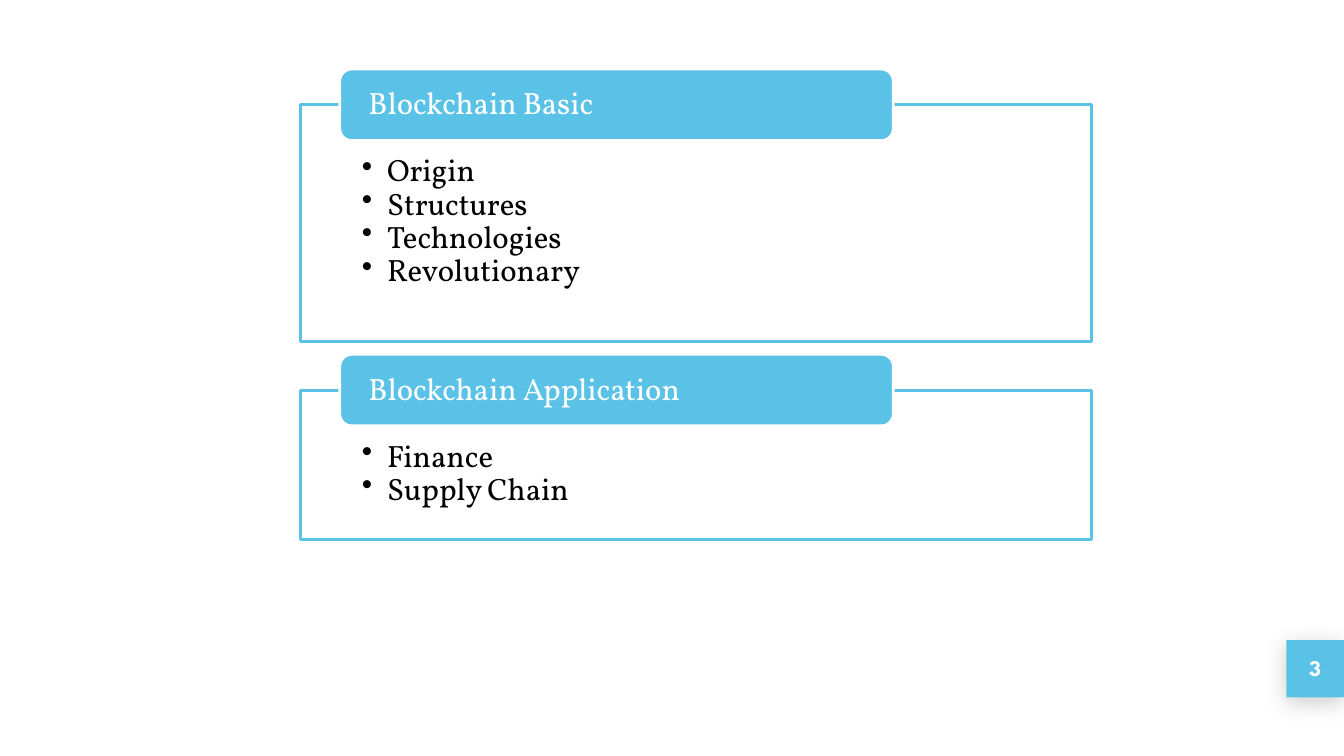
from dataclasses import dataclass

from lxml import etree
from pptx import Presentation
from pptx import util as u
from pptx.dml.color import RGBColor
from pptx.enum import shapes, text
from pptx.oxml.ns import qn


@dataclass(frozen=True)
class Theme:
    blue: str = "5BC2E7"
    white: str = "FFFFFF"
    black: str = "000000"
    body: str = "Vollkorn"
    digit: str = "League Spartan"
    size: int = 22
    small: int = 16
    line: int = 2


def add(parent, tag, **attrs):
    return etree.SubElement(parent, qn(tag), attrs)


class Deck:
    def __init__(self, theme):
        self.theme = theme
        self.prs = Presentation()
        self.prs.slide_width = u.Inches(13.33)
        self.prs.slide_height = u.Inches(7.5)
        self.slide = self.prs.slides.add_slide(self.prs.slide_layouts[6])

    def box(self, kind, at, fill, line=None):
        shape = self.slide.shapes.add_shape(kind, *map(u.Inches, at))
        shape.shadow.inherit = False
        shape.fill.solid()
        shape.fill.fore_color.rgb = RGBColor.from_string(fill)
        if line:
            shape.line.color.rgb = RGBColor.from_string(line)
            shape.line.width = u.Pt(self.theme.line)
        else:
            shape.line.fill.background()
        return shape

    def label(self, shape, lines, inset, anchor, color, bullet=False, **style):
        frame = shape.text_frame
        frame.word_wrap = True
        frame.vertical_anchor = anchor
        for side, gap in zip(("left", "top", "right", "bottom"), inset):
            setattr(frame, f"margin_{side}", u.Inches(gap))
        look = {"name": self.theme.body, "size": u.Pt(self.theme.size)} | style
        align = look.pop("align", text.PP_ALIGN.LEFT)
        for i, line in enumerate(lines):
            para = frame.add_paragraph() if i else frame.paragraphs[0]
            if bullet:
                self.dot(para, color)
            para.alignment = align
            para.line_spacing = 0.9
            run = para.add_run()
            run.text = line
            for key, value in look.items():
                setattr(run.font, key, value)
            run.font.color.rgb = RGBColor.from_string(color)

    def dot(self, para, color):
        props = para._p.get_or_add_pPr()
        props.set("marL", str(u.Inches(0.25)))
        props.set("indent", str(u.Inches(-0.25)))
        add(add(props, "a:buClr"), "a:srgbClr", val=color)
        add(props, "a:buChar", char="•")

    def panel(self, top, height, head, items):
        t, kind = self.theme, shapes.MSO_SHAPE
        # Outlined frame with its list
        frame = self.box(kind.RECTANGLE, (2.98, top, 7.85, height), t.white, t.blue)
        fill = frame._element.spPr.find(qn("a:solidFill"))
        add(fill[0], "a:alpha", val="90000")
        self.label(frame, items, (0.61, 0.5, 0.61, 0.17),
                   text.MSO_ANCHOR.TOP, t.black, bullet=True)
        # Heading tab across the top edge
        tab = self.box(kind.ROUNDED_RECTANGLE, (3.37, top - 0.355, 5.49, 0.71),
                       t.blue, t.white)
        self.label(tab, [head], (0.25, 0, 0.25, 0), text.MSO_ANCHOR.MIDDLE, t.white)

    def number(self, value):
        t = self.theme
        badge = self.box(shapes.MSO_SHAPE.RECTANGLE, (12.76, 6.35, 0.57, 0.57), t.blue)
        glow = add(badge._element.spPr.find(qn("a:effectLst")), "a:outerShdw",
                   blurRad=str(u.Pt(16.9)), dist=str(u.Pt(3.8)), dir="5400000",
                   algn="ctr", rotWithShape="0")
        add(add(glow, "a:srgbClr", val=t.black), "a:alpha", val="20000")
        self.label(badge, [value], (0.1,) * 4, text.MSO_ANCHOR.MIDDLE, t.white,
                   name=t.digit, size=u.Pt(t.small), bold=True,
                   align=text.PP_ALIGN.CENTER)


def main():
    deck = Deck(Theme())
    # Topic panels
    deck.panel(1.04, 2.35, "Blockchain Basic",
               ["Origin", "Structures", "Technologies", "Revolutionary"])
    deck.panel(3.87, 1.48, "Blockchain Application", ["Finance", "Supply Chain"])
    # Page number
    deck.number("3")
    deck.prs.save("out.pptx")


if __name__ == "__main__":
    main()
